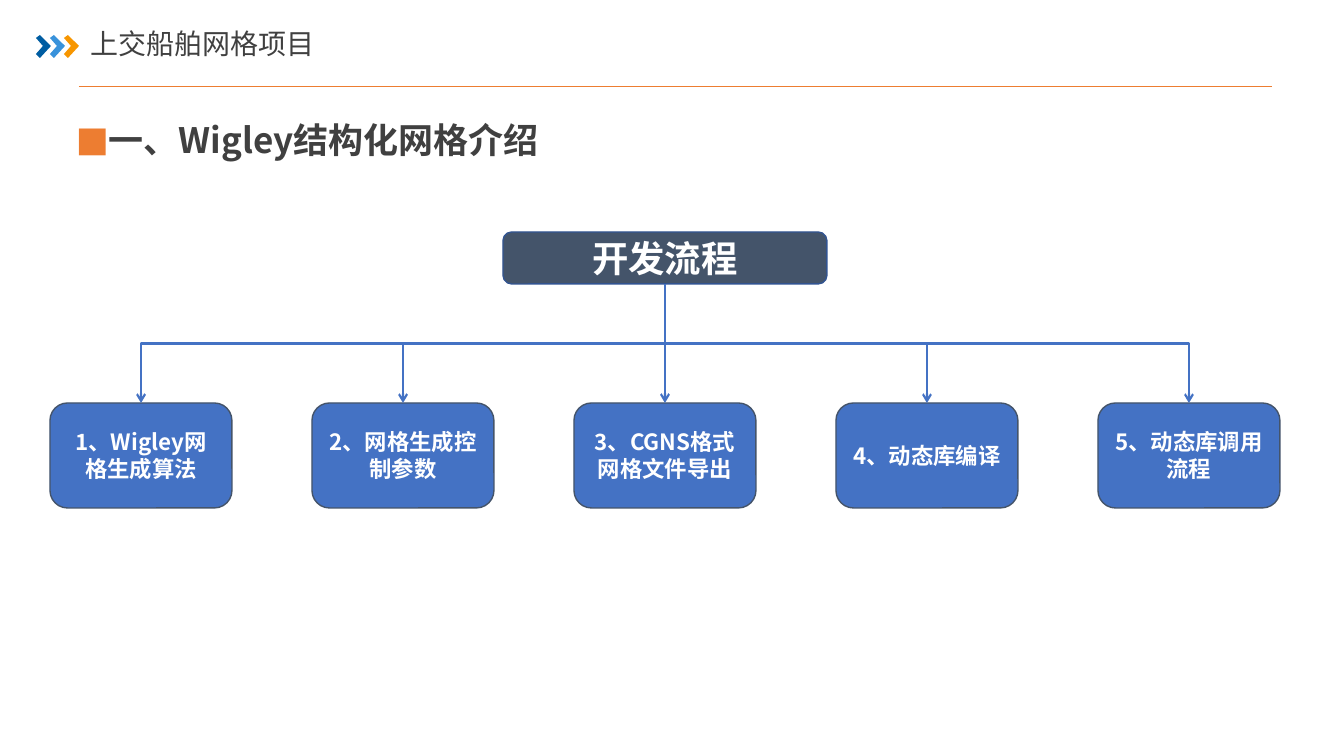
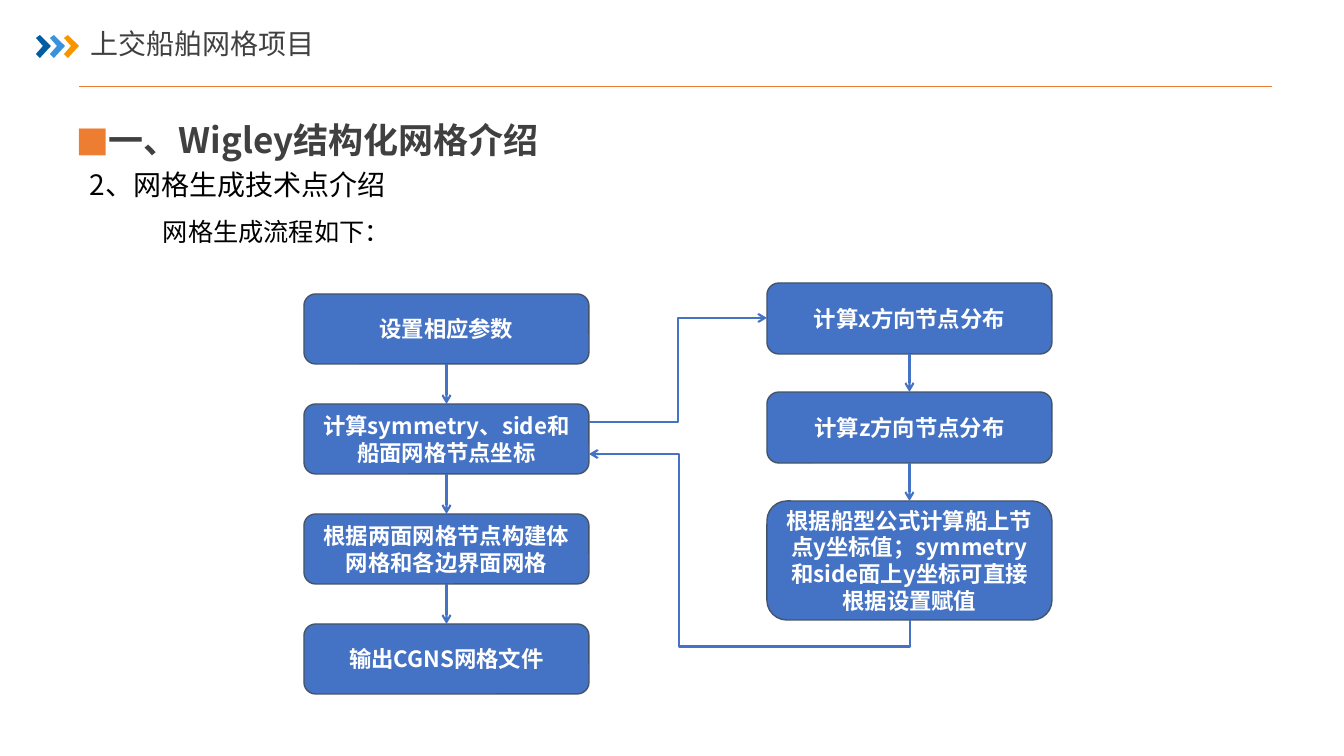
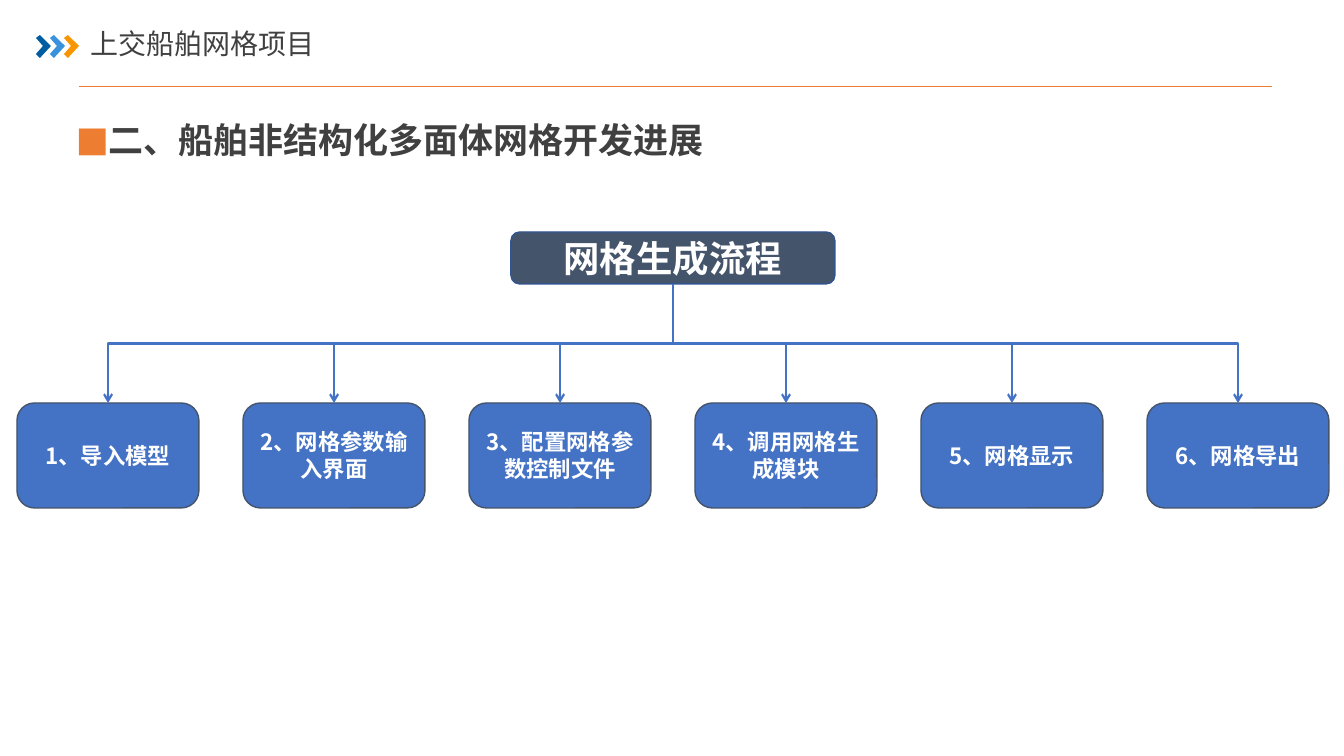
import lxml.etree
import pptx
import pptx.dml.color
import pptx.enum.shapes
import pptx.enum.text
import pptx.oxml.ns
import pptx.util

PX = 914400 / 100.8
FONT = "Noto Sans CJK SC"
COLORS = {
    "ink": "404040", "black": "000000", "white": "FFFFFF", "accent": "ED7D31",
    "card": "4472C4", "slate": "44546A", "root_edge": "325491",
    "navy": "005DA2", "sky": "3992DB", "amber": "F79600",
}
CHEVRON = [(0, 3), (4, 0), (15, 11), (4, 23), (0, 19), (7, 11)]
TOP, BOTTOM = 0, 2
ALIGN = pptx.enum.text.PP_ALIGN
ANCHOR = pptx.enum.text.MSO_ANCHOR
CONNECTOR = pptx.enum.shapes.MSO_CONNECTOR


def emu(*lengths):
    """Turn px lengths into EMU."""
    return [round(length * PX) for length in lengths]


def color(name):
    """Look up a named colour."""
    return pptx.dml.color.RGBColor.from_string(COLORS[name])


def add_xml(parent, tag, **attributes):
    """Append one drawing element with its attributes."""
    return lxml.etree.SubElement(parent, pptx.oxml.ns.qn(tag), attributes)


def write(shape, text, size, ink, align, bold=False, font=FONT, anchor=ANCHOR.TOP):
    """Fill a shape with one formatted paragraph and return it."""
    frame = shape.text_frame
    frame.word_wrap = True
    frame.auto_size = pptx.enum.text.MSO_AUTO_SIZE.NONE
    frame.vertical_anchor = anchor
    para = frame.paragraphs[0]
    para.text = text
    para.alignment = align
    for span in para.runs:
        span.font.size = pptx.util.Pt(size)
        span.font.bold = bold
        span.font.color.rgb = color(ink)
        span.font.name = font
        add_xml(span.font._element, "a:ea", typeface=font)
    return para


def indent(para, margin, first):
    """Set the left margin and first-line indent of a paragraph."""
    properties = para._p.get_or_add_pPr()
    properties.set("marL", str(emu(margin)[0]))
    properties.set("indent", str(emu(first)[0]))
    return properties


def card(page, box, text, size=16, fill="card", edge="slate"):
    """Draw a rounded box with centred bold text."""
    shape = page.shapes.add_shape(
        pptx.enum.shapes.MSO_SHAPE.ROUNDED_RECTANGLE, *emu(*box))
    shape.shadow.inherit = False
    shape.fill.solid()
    shape.fill.fore_color.rgb = color(fill)
    shape.line.color.rgb = color(edge)
    shape.line.width = pptx.util.Pt(1)
    write(shape, text, size, "white", ALIGN.CENTER, True, anchor=ANCHOR.MIDDLE)
    return shape


def add_line(page, kind, start, end, ink="card", width=1.5, arrow=True):
    """Draw a shadowless connector, with an arrowhead if wanted."""
    line = page.shapes.add_connector(kind, *emu(*start, *end))
    line.line.color.rgb = color(ink)
    line.line.width = pptx.util.Pt(width)
    properties = line._element.spPr
    if arrow:
        add_xml(properties.find(pptx.oxml.ns.qn("a:ln")), "a:tailEnd", type="arrow")
    add_xml(properties, "a:effectLst")
    return line


def join(line, upper, lower):
    """Join a connector from the bottom of one box to the top of another."""
    line.begin_connect(upper, BOTTOM)
    line.end_connect(lower, TOP)


def turn_down(line, start, end):
    """Turn an elbow so that it leaves its start vertically."""
    across, along = end[0] - start[0], end[1] - start[1]
    width, height = abs(along), abs(across)
    middle_x, middle_y = (start[0] + end[0]) / 2, (start[1] + end[1]) / 2
    line.left, line.top, line.width, line.height = emu(
        middle_x - width / 2, middle_y - height / 2, width, height)
    frame = line._element.spPr.find(pptx.oxml.ns.qn("a:xfrm"))
    frame.set("rot", "5400000")
    frame.set("flipH", str(int(along < 0)))
    frame.set("flipV", str(int(across > 0)))


def bend(line, *shares):
    """Give an elbow one more corner and place its segments."""
    geometry = line._element.spPr.find(pptx.oxml.ns.qn("a:prstGeom"))
    geometry.set("prst", "bentConnector4")
    guides = geometry.find(pptx.oxml.ns.qn("a:avLst"))
    if guides is None:
        guides = add_xml(geometry, "a:avLst")
    for number, share in enumerate(shares, 1):
        add_xml(guides, "a:gd", name=f"adj{number}", fmla=f"val {round(share * 100000)}")


def decorate_layout(layout, page):
    """Draw the rule and chevrons on a page and move them to its layout."""
    parts = [add_line(page, CONNECTOR.STRAIGHT, (79, 86), (1272, 86), "accent", 0.5, False)]
    for index, name in enumerate(("navy", "sky", "amber")):
        points = [(36 + 14 * index + x, 35 + y) for x, y in CHEVRON]
        builder = page.shapes.build_freeform(*points[0], scale=PX)
        builder.add_line_segments(points[1:], close=True)
        chevron = builder.convert_to_shape()
        chevron.shadow.inherit = False
        chevron.fill.solid()
        chevron.fill.fore_color.rgb = color(name)
        chevron.line.fill.background()
        parts.append(chevron)
    for part in parts:
        layout.shapes._spTree.append(part._element)


def add_page(deck, section):
    """Add a page with the project title and a bulleted section heading."""
    page = deck.slides.add_slide(deck.slide_layouts[5])
    title = page.shapes.title
    title.left, title.top, title.width, title.height = emu(80, 25, 1159, 66)
    write(title, "上交船舶网格项目", 20, "ink", ALIGN.LEFT).line_spacing = 0.9
    heading = page.shapes.add_textbox(*emu(66, 93, 1174, 78))
    para = write(heading, section, 25, "ink", ALIGN.JUSTIFY, True)
    para.line_spacing = 1.5
    properties = indent(para, 25, -25)
    add_xml(add_xml(properties, "a:buClr"), "a:srgbClr", val=COLORS["accent"])
    add_xml(properties, "a:buFont", typeface="Calibri")
    add_xml(properties, "a:buChar", char="■")
    return page


def hierarchy(page, left, top, width, heading, steps):
    """Draw a root box over a row of evenly spaced step cards."""
    root_width, root_height, step_width, step_height = 324, 52, 182, 105
    centre, root_bottom, step_top = left + width / 2, top + root_height, top + 171
    root = card(page, (centre - root_width / 2, top, root_width, root_height),
                heading, 26, "slate", "root_edge")
    pitch = (width - step_width) / (len(steps) - 1)
    for index, text in enumerate(steps):
        x = left + index * pitch
        step = card(page, (x, step_top, step_width, step_height), text)
        start, end = (centre, root_bottom), (x + step_width / 2, step_top)
        straight = start[0] == end[0]
        kind = CONNECTOR.STRAIGHT if straight else CONNECTOR.ELBOW
        line = add_line(page, kind, start, end)
        join(line, root, step)
        if not straight:
            turn_down(line, start, end)


def column(page, left, top, gap, steps):
    """Stack step cards downwards and link each to the next."""
    width, previous = 285, None
    for text, height in steps:
        step = card(page, (left, top, width, height), text)
        if previous is not None:
            middle = left + width / 2
            line = add_line(page, CONNECTOR.STRAIGHT, (middle, top - gap), (middle, top))
            join(line, previous, step)
        previous = step
        top += height + gap


def flow(page, left, top):
    """Draw the main column, the detail column and the links between them."""
    main = ["设置相应参数", "计算symmetry、side和船面网格节点坐标",
            "根据两面网格节点构建体网格和各边界面网格", "输出CGNS网格文件"]
    column(page, left, top + 11, 40, [(text, 70) for text in main])
    column(page, left + 463, top, 38, [
        ("计算x方向节点分布", 71), ("计算z方向节点分布", 71),
        ("根据船型公式计算船上节点y坐标值；symmetry和side面上y坐标可直接根据设置赋值", 119)])
    add_line(page, CONNECTOR.ELBOW, (left + 285, top + 139), (left + 463, top + 35))
    start, end = (left + 606, top + 337), (left + 285, top + 171)
    back = add_line(page, CONNECTOR.ELBOW, start, end)
    turn_down(back, start, end)
    bend(back, -0.16, 0.72)


def captions(page, left, top):
    """Write the topic line and the indented lead-in."""
    topic = page.shapes.add_textbox(*emu(left, top, 330, 44))
    write(topic, "2、网格生成技术点介绍", 20, "black", ALIGN.LEFT)
    lead = page.shapes.add_textbox(*emu(left + 23, top + 33, 964, 55))
    para = write(lead, "网格生成流程如下：", 18, "black", ALIGN.JUSTIFY, font="Calibri")
    para.line_spacing = 1.5
    indent(para, 0, 50)


def main():
    """Build and save the deck."""
    deck = pptx.Presentation()
    deck.slide_width, deck.slide_height = emu(1344, 756)
    structured = "一、Wigley结构化网格介绍"
    page = add_page(deck, structured)
    decorate_layout(deck.slide_layouts[5], page)
    hierarchy(page, 50, 232, 1230, "开发流程", [
        "1、Wigley网格生成算法", "2、网格生成控制参数", "3、CGNS格式网格文件导出",
        "4、动态库编译", "5、动态库调用流程"])
    page = add_page(deck, structured)
    captions(page, 80, 163)
    flow(page, 304, 283)
    page = add_page(deck, "二、船舶非结构化多面体网格开发进展")
    hierarchy(page, 17, 232, 1312, "网格生成流程", [
        "1、导入模型", "2、网格参数输入界面", "3、配置网格参数控制文件",
        "4、调用网格生成模块", "5、网格显示", "6、网格导出"])
    deck.save("out.pptx")


if __name__ == "__main__":
    main()
